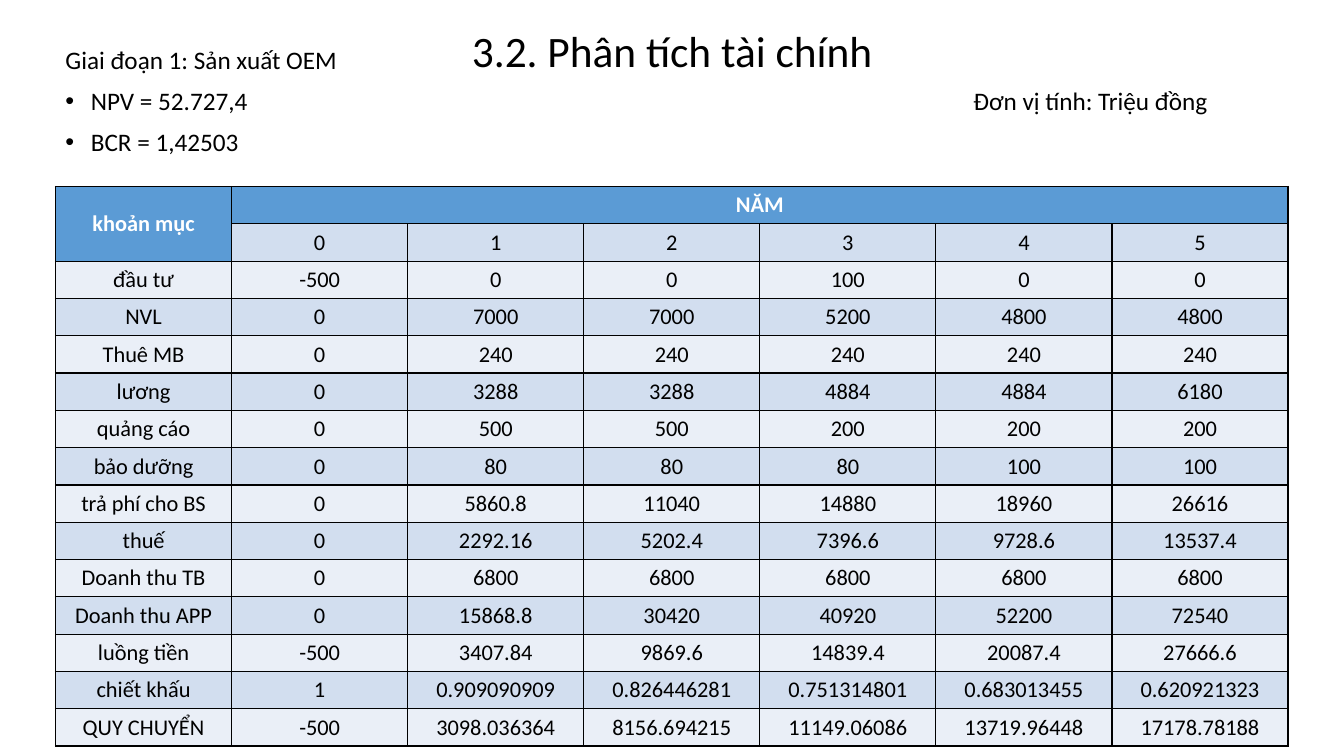
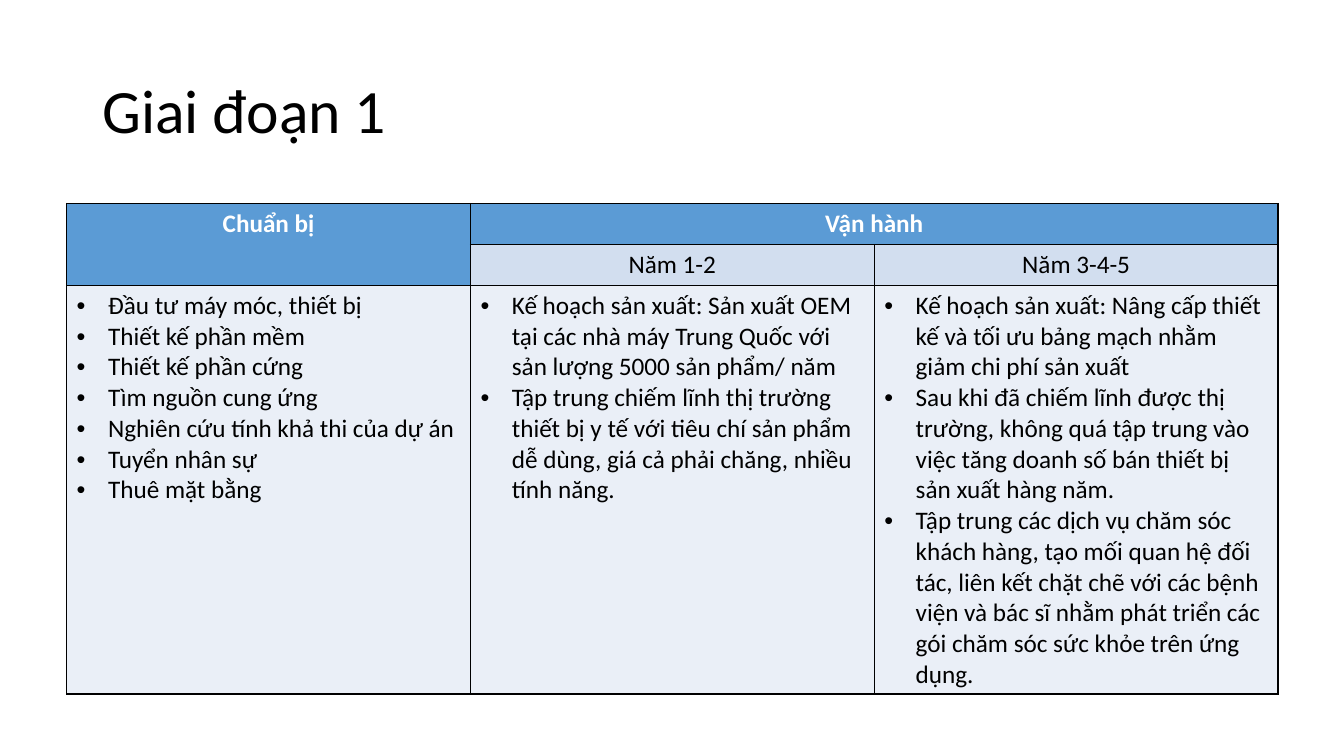
from dataclasses import dataclass

from lxml import etree
from pptx import Presentation
from pptx.dml.color import RGBColor
from pptx.enum.text import MSO_ANCHOR, PP_ALIGN
from pptx.oxml.ns import qn
from pptx.util import Cm, Pt

LEFT, CENTER = PP_ALIGN.LEFT, PP_ALIGN.CENTER
TOP, MIDDLE = MSO_ANCHOR.TOP, MSO_ANCHOR.MIDDLE


@dataclass(frozen=True)
class Theme:
    font: str = "Calibri"
    text: str = "000000"
    header_text: str = "FFFFFF"
    header: str = "5B9BD5"
    bands: tuple = ("EAEFF7", "D2DEEF")
    border: str = "000000"
    border_width: float = 1
    title_size: int = 44
    small_title_size: int = 31
    body_size: int = 18
    figure_size: int = 16
    line_spacing: float = 0.9
    space_before: int = 10
    body_indent: float = 0.64
    cell_indent: float = 0.79


THEME = Theme()

FINANCE_TITLE = "3.2. Phân tích tài chính"
FINANCE_SUMMARY = [
    ("Giai đoạn 1: Sản xuất OEM", False),
    ("NPV = 52.727,4", True),
    ("BCR = 1,42503", True),
]
FINANCE_UNIT = "Đơn vị tính: Triệu đồng"
FINANCE_ROWS = [
    ("khoản mục", "NĂM", None, None, None, None, None),
    (None, "0", "1", "2", "3", "4", "5"),
    ("đầu tư", "-500", "0", "0", "100", "0", "0"),
    ("NVL", "0", "7000", "7000", "5200", "4800", "4800"),
    ("Thuê MB", "0", "240", "240", "240", "240", "240"),
    ("lương", "0", "3288", "3288", "4884", "4884", "6180"),
    ("quảng cáo", "0", "500", "500", "200", "200", "200"),
    ("bảo dưỡng", "0", "80", "80", "80", "100", "100"),
    ("trả phí cho BS", "0", "5860.8", "11040", "14880", "18960", "26616"),
    ("thuế", "0", "2292.16", "5202.4", "7396.6", "9728.6", "13537.4"),
    ("Doanh thu TB", "0", "6800", "6800", "6800", "6800", "6800"),
    ("Doanh thu APP", "0", "15868.8", "30420", "40920", "52200", "72540"),
    ("luồng tiền", "-500", "3407.84", "9869.6", "14839.4", "20087.4", "27666.6"),
    ("chiết khấu", "1", "0.909090909", "0.826446281", "0.751314801",
     "0.683013455", "0.620921323"),
    ("QUY CHUYỂN", "-500", "3098.036364", "8156.694215", "11149.06086",
     "13719.96448", "17178.78188"),
]

PHASE_TITLE = "Giai đoạn 1"
PREPARATION = [
    "Đầu tư máy móc, thiết bị",
    "Thiết kế phần mềm",
    "Thiết kế phần cứng",
    "Tìm nguồn cung ứng",
    "Nghiên cứu tính khả thi của dự án",
    "Tuyển nhân sự",
    "Thuê mặt bằng",
]
EARLY_YEARS = [
    "Kế hoạch sản xuất: Sản xuất OEM tại các nhà máy Trung Quốc với "
    "sản lượng 5000 sản phẩm/ năm",
    "Tập trung chiếm lĩnh thị trường thiết bị y tế với tiêu chí sản phẩm "
    "dễ dùng, giá cả phải chăng, nhiều tính năng.",
]
LATER_YEARS = [
    "Kế hoạch sản xuất: Nâng cấp thiết kế và tối ưu bảng mạch nhằm "
    "giảm chi phí sản xuất",
    "Sau khi đã chiếm lĩnh được thị trường, không quá tập trung vào việc "
    "tăng doanh số bán thiết bị sản xuất hàng năm.",
    "Tập trung các dịch vụ chăm sóc khách hàng, tạo mối quan hệ đối tác, "
    "liên kết chặt chẽ với các bệnh viện và bác sĩ nhằm phát triển các "
    "gói chăm sóc sức khỏe trên ứng dụng.",
]
PHASE_ROWS = [
    ("Chuẩn bị", "Vận hành", None),
    (None, "Năm 1-2", "Năm 3-4-5"),
    (PREPARATION, EARLY_YEARS, LATER_YEARS),
]


def add_bullet(para, indent):
    properties = para._p.get_or_add_pPr()
    properties.set("marL", str(Cm(indent)))
    properties.set("indent", str(-Cm(indent)))
    etree.SubElement(properties, qn("a:buFont")).set("typeface", "Arial")
    etree.SubElement(properties, qn("a:buChar")).set("char", "•")


def write(frame, lines, size, align=LEFT, color=THEME.text, bold=False,
          indent=THEME.body_indent, line_spacing=None, space_before=0):
    for index, (text, bulleted) in enumerate(lines):
        para = frame.add_paragraph() if index else frame.paragraphs[0]
        para.text = text
        if bulleted:
            add_bullet(para, indent)
        para.alignment = align
        para.space_before = Pt(space_before)
        if line_spacing:
            para.line_spacing = line_spacing
        para.font.name = THEME.font
        para.font.size = Pt(size)
        para.font.bold = bold
        para.font.color.rgb = RGBColor.from_string(color)


def add_text(slide, place, lines, size, anchor=TOP, align=LEFT, space_before=0):
    box = slide.shapes.add_textbox(*map(Cm, place))
    frame = box.text_frame
    frame.word_wrap = True
    frame.vertical_anchor = anchor
    write(frame, lines, size, align, line_spacing=THEME.line_spacing,
          space_before=space_before)


def add_title(slide, text, top, size, align=LEFT):
    add_text(slide, (2.33, top, 29.21, 3.68), [(text, False)], size, MIDDLE, align)


def set_borders(cell):
    properties = cell._tc.get_or_add_tcPr()
    for position, side in enumerate(("a:lnL", "a:lnR", "a:lnT", "a:lnB")):
        line = etree.Element(qn(side), w=str(Pt(THEME.border_width)))
        fill = etree.SubElement(line, qn("a:solidFill"))
        etree.SubElement(fill, qn("a:srgbClr")).set("val", THEME.border)
        properties.insert(position, line)


def add_grid(slide, left, top, width, heights, rows, size, anchor):
    columns = len(rows[0])
    table = slide.shapes.add_table(
        len(rows), columns, Cm(left), Cm(top), Cm(width), Cm(sum(heights))).table
    table.first_row = table.horz_banding = False
    for column in table.columns:
        column.width = Cm(width / columns)
    for r, (height, values) in enumerate(zip(heights, rows)):
        table.rows[r].height = Cm(height)
        for c, value in enumerate(values):
            cell = table.cell(r, c)
            header = r == 0 or value is None
            cell.fill.solid()
            cell.fill.fore_color.rgb = RGBColor.from_string(
                THEME.header if header else THEME.bands[r % 2])
            cell.vertical_anchor = anchor
            set_borders(cell)
            bulleted = isinstance(value, list)
            items = value if bulleted else [value or ""]
            write(cell.text_frame, [(item, bulleted) for item in items], size,
                  LEFT if bulleted else CENTER,
                  THEME.header_text if header else THEME.text, header,
                  THEME.cell_indent)
    table.cell(0, 0).merge(table.cell(1, 0))
    table.cell(0, 1).merge(table.cell(0, columns - 1))


def build_finance(slide):
    add_title(slide, FINANCE_TITLE, -0.48, THEME.small_title_size, CENTER)
    add_text(slide, (1.4, 1.07, 10, 3.5), FINANCE_SUMMARY, THEME.body_size,
             space_before=THEME.space_before)
    add_text(slide, (24.28, 2.07, 7.2, 1), [(FINANCE_UNIT, False)],
             THEME.body_size, MIDDLE)
    add_grid(slide, 1.4, 4.7, 31.06, [0.94] * len(FINANCE_ROWS), FINANCE_ROWS,
             THEME.figure_size, MIDDLE)


def build_phase(slide):
    add_title(slide, PHASE_TITLE, 1.02, THEME.title_size)
    add_grid(slide, 1.68, 5.13, 30.53, [1.03, 1.03, 10.3], PHASE_ROWS,
             THEME.body_size, TOP)


def main():
    deck = Presentation()
    deck.slide_width, deck.slide_height = Cm(33.87), Cm(19.05)
    for build in (build_finance, build_phase):
        build(deck.slides.add_slide(deck.slide_layouts[6]))
    deck.save("out.pptx")


if __name__ == "__main__":
    main()
